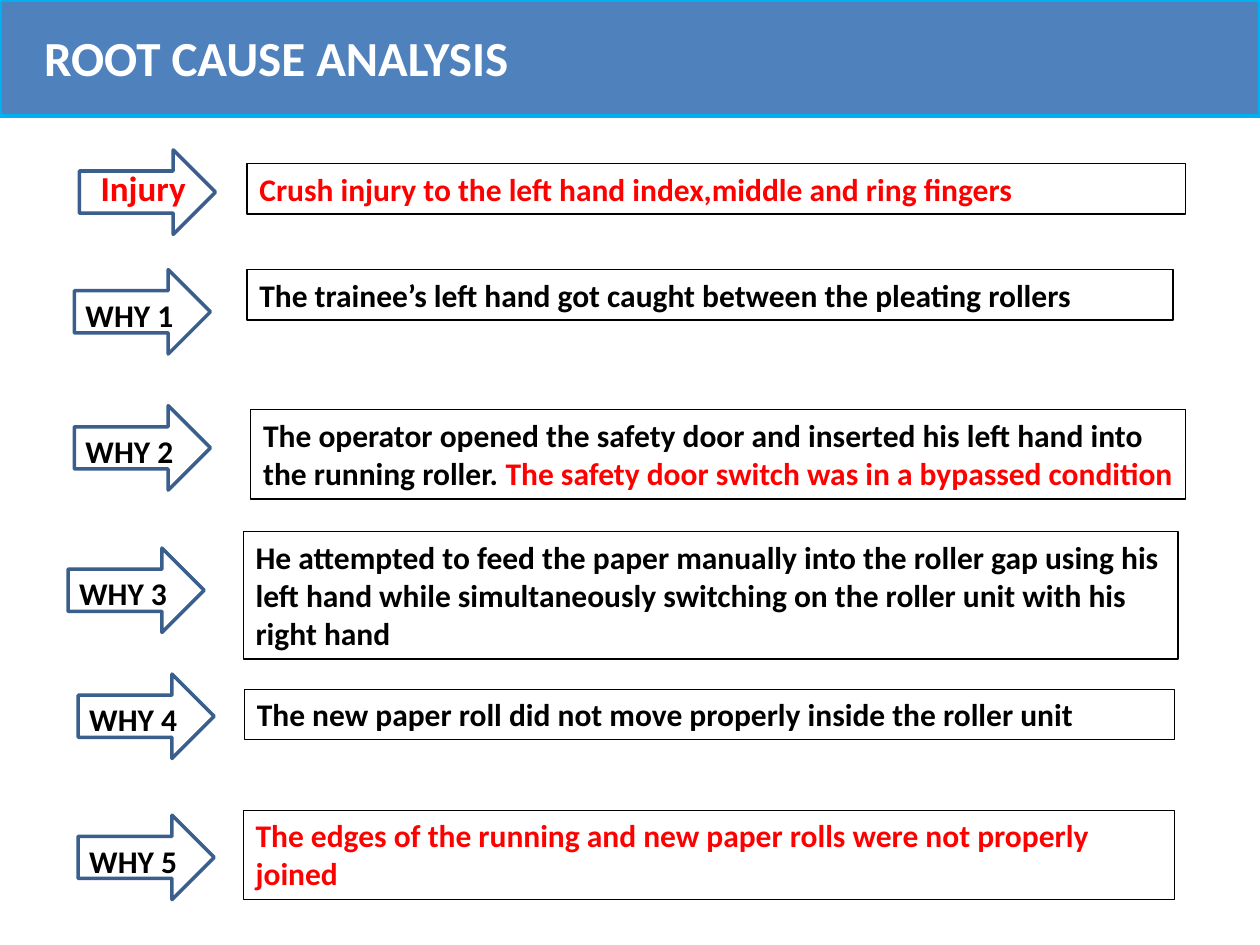
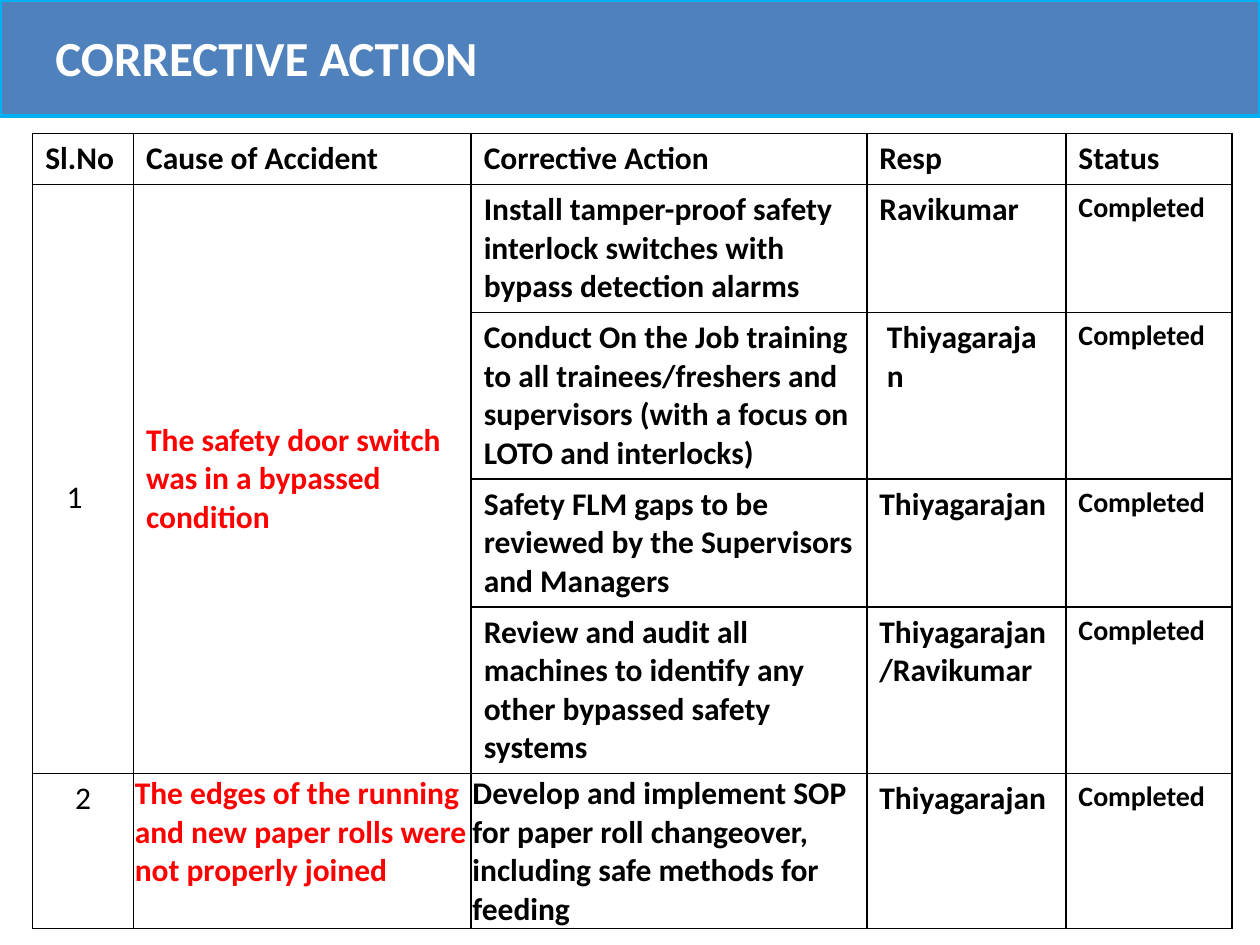
from lxml import etree
from pptx import Presentation
from pptx.dml.color import RGBColor
from pptx.enum.shapes import MSO_SHAPE as Preset
from pptx.enum.text import MSO_ANCHOR as Anchor, MSO_AUTO_SIZE as AutoSize, PP_ALIGN as Align
from pptx.oxml.ns import qn
from pptx.util import Inches, Pt

BLACK = RGBColor(0x00, 0x00, 0x00)
WHITE = RGBColor(0xFF, 0xFF, 0xFF)
RED = RGBColor(0xFF, 0x00, 0x00)
BAND_BLUE = RGBColor(0x4F, 0x81, 0xBD)
BAND_EDGE = RGBColor(0x00, 0xB0, 0xF0)
ARROW_EDGE = RGBColor(0x3A, 0x5F, 0x8C)

FONT = "Calibri"
TITLE_ONLY = 5
ARROW_SIZE = (1.08, 0.67)


def set_all(target, values):
    for name, value in values.items():
        setattr(target, name, value)


class Deck:
    """Holds the shared style and the slide being built."""

    def __init__(self):
        self.presentation = Presentation()
        set_all(self.presentation, {"slide_width": Inches(10), "slide_height": Inches(7.5)})
        self.slide = None

    def add_slide(self, title, indent=0):
        layout = self.presentation.slide_layouts[TITLE_ONLY]
        self.slide = self.presentation.slides.add_slide(layout)
        self.outlined(self.slide.shapes, Preset.RECTANGLE, (0, 0, 10, 0.92), BAND_EDGE, BAND_BLUE)
        # Title in front of the band
        heading = self.slide.shapes.title
        self.slide.shapes._spTree.append(heading._element)
        box = (0.25, 0.17, 8.08, 0.57)
        set_all(heading, dict(zip(("left", "top", "width", "height"), map(Inches, box))))
        self.fill_frame(heading.text_frame, [(title, WHITE)], 28,
                        margin_left=Inches(0.1 + indent))

    def outlined(self, shapes, preset, box, edge, fill=None):
        shape = shapes.add_shape(preset, *map(Inches, box))
        shape.shadow.inherit = False
        shape.line.width = Pt(2)
        shape.line.color.rgb = edge
        if fill is None:
            shape.fill.background()
        else:
            shape.fill.solid()
            shape.fill.fore_color.rgb = fill

    def fill_frame(self, frame, runs, size, **frame_format):
        set_all(frame, {"word_wrap": True, "auto_size": AutoSize.NONE,
                        "vertical_anchor": Anchor.TOP, **frame_format})
        self.fill_paragraph(frame.paragraphs[0], runs, size)

    def fill_paragraph(self, paragraph, runs, size, bold=True, align=Align.LEFT):
        paragraph.alignment = align
        for text, color in runs:
            run = paragraph.add_run()
            run.text = text
            set_all(run.font, {"name": FONT, "size": Pt(size), "bold": bold})
            run.font.color.rgb = color

    def text_box(self, shapes, box, runs, size=18):
        shape = shapes.add_textbox(*map(Inches, box))
        self.fill_frame(shape.text_frame, runs, size, auto_size=AutoSize.SHAPE_TO_FIT_TEXT)
        return shape

    def statement(self, box, runs):
        line = self.text_box(self.slide.shapes, box, runs).line
        line.width = Pt(0.75)
        line.color.rgb = BLACK

    def arrow_label(self, left, top, label, color=BLACK, size=18, shift=(-0.01, 0.16)):
        shapes = self.slide.shapes.add_group_shape().shapes
        self.outlined(shapes, Preset.RIGHT_ARROW, (left, top, *ARROW_SIZE), ARROW_EDGE)
        box = (left + shift[0], top + shift[1], 1.01, size * 0.022)
        self.text_box(shapes, box, [(label, color)], size)

    def table(self, left, top, widths, heights):
        frame = self.slide.shapes.add_table(
            len(heights), len(widths), Inches(left), Inches(top),
            Inches(sum(widths)), Inches(sum(heights)))
        table = frame.table
        set_all(table, {"first_row": False, "horz_banding": False})
        for column, width in zip(table.columns, widths):
            column.width = Inches(width)
        for row, height in zip(table.rows, heights):
            row.height = Inches(height)
        for cell in table.iter_cells():
            self.border(cell)
            cell.fill.background()
        return table

    def border(self, cell):
        properties = cell._tc.get_or_add_tcPr()
        for side in ("a:lnL", "a:lnR", "a:lnT", "a:lnB"):
            line = etree.SubElement(properties, qn(side), w=str(Pt(1)))
            fill = etree.SubElement(line, qn("a:solidFill"))
            etree.SubElement(fill, qn("a:srgbClr"), val=str(BLACK))

    def cell(self, cell, text, color=BLACK, size=18, bold=True, align=Align.LEFT, **cell_format):
        set_all(cell, cell_format)
        self.fill_paragraph(cell.text_frame.paragraphs[0], [(text, color)], size, bold, align)


def build_root_cause(deck):
    deck.add_slide("ROOT CAUSE ANALYSIS")

    # Injury and the chain of whys
    deck.arrow_label(0.63, 1.19, "Injury", RED, 20, (0.07, 0.08))
    arrows = [(0.59, 2.14), (0.59, 3.22), (0.54, 4.35), (0.62, 5.35), (0.62, 6.47)]
    for number, (left, top) in enumerate(arrows, 1):
        deck.arrow_label(left, top, f"WHY {number}")

    # Answers
    statements = [
        ((1.96, 1.3, 7.45, 0.4),
         [("Crush injury to the left hand index,middle and ring fingers", RED)]),
        ((1.96, 2.14, 7.35, 0.4),
         [("The trainee’s left hand got caught between the pleating rollers", BLACK)]),
        ((1.99, 3.25, 7.42, 0.71),
         [("The operator opened the safety door and inserted his left hand into "
           "the running roller. ", BLACK),
          ("The safety door switch was in a bypassed condition", RED)]),
        ((1.93, 4.22, 7.42, 1.01),
         [("He attempted to feed the paper manually into the roller gap using his left hand "
           "while simultaneously switching on the roller unit with his right hand", BLACK)]),
        ((1.94, 5.47, 7.38, 0.4),
         [("The new paper roll did not move properly inside the roller unit", BLACK)]),
        ((1.93, 6.43, 7.39, 0.71),
         [("The edges of the running and new paper rolls were not properly joined", RED)]),
    ]
    for box, runs in statements:
        deck.statement(box, runs)


def build_corrective_action(deck):
    deck.add_slide("CORRECTIVE ACTION", indent=0.09)
    table = deck.table(0.26, 1.06, (0.8, 2.68, 3.14, 1.58, 1.32), (0.4, 1, 1.3, 1, 1.3, 1.21))
    tight = {"margin_left": Inches(0.01), "margin_right": Inches(0.01),
             "margin_top": Inches(0.01), "margin_bottom": 0}

    # Header
    headers = ("Sl.No", "Cause of Accident", "Corrective Action", "Resp", "Status")
    for column, header in enumerate(headers):
        deck.cell(table.cell(0, column), header)

    # Causes
    for column in (0, 1):
        table.cell(1, column).merge(table.cell(4, column))
    deck.cell(table.cell(1, 0), "1", bold=False, vertical_anchor=Anchor.MIDDLE,
              margin_left=Inches(0.27), margin_top=Inches(0.35))
    deck.cell(table.cell(1, 1), "The safety door switch was in a bypassed condition", RED,
              vertical_anchor=Anchor.MIDDLE)
    deck.cell(table.cell(5, 0), "2", bold=False, align=Align.CENTER)
    deck.cell(table.cell(5, 1),
              "The edges of the running and new paper rolls were not properly joined", RED, **tight)

    # Actions, owners and status
    actions = [
        ("Install tamper-proof safety interlock switches with bypass detection alarms",
         "Ravikumar", {}, {}),
        ("Conduct On the Job training to all trainees/freshers and supervisors "
         "(with a focus on LOTO and interlocks)",
         "Thiyagarajan", {}, {"margin_left": Inches(0.16)}),
        ("Safety FLM gaps to be reviewed by the Supervisors and Managers",
         "Thiyagarajan", {}, {}),
        ("Review and audit all machines to identify any other bypassed safety systems",
         "Thiyagarajan/Ravikumar", {}, {}),
        ("Develop and implement SOP for paper roll changeover, "
         "including safe methods for feeding",
         "Thiyagarajan", tight, {}),
    ]
    for row, (action, owner, action_format, owner_format) in enumerate(actions, 1):
        deck.cell(table.cell(row, 2), action, **action_format)
        deck.cell(table.cell(row, 3), owner, **owner_format)
        deck.cell(table.cell(row, 4), "Completed", size=16)


def main():
    deck = Deck()
    build_root_cause(deck)
    build_corrective_action(deck)
    deck.presentation.save("out.pptx")


if __name__ == "__main__":
    main()
